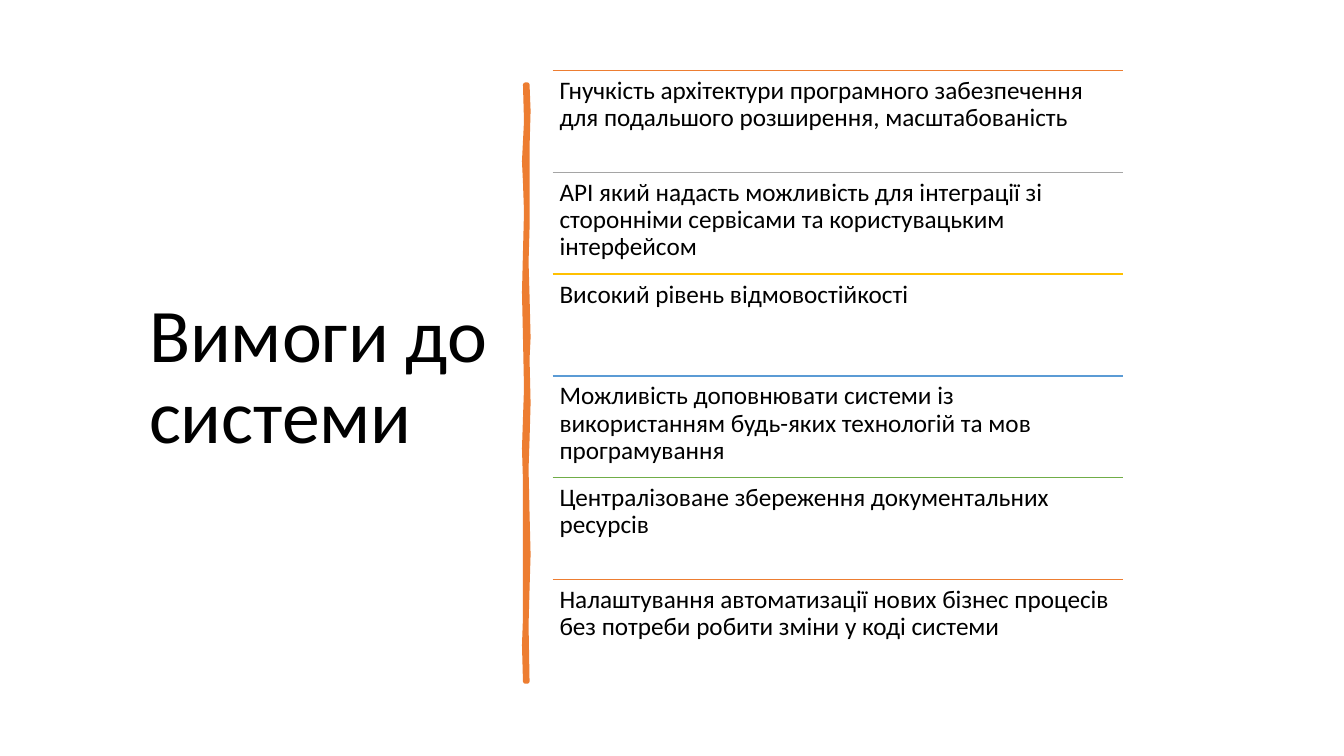
"""Builds the slide of system requirements with a title, a brush divider and six ruled items."""
import pptx
import pptx.dml.color
import pptx.enum.shapes
import pptx.enum.text
import pptx.oxml.ns
import pptx.util
from lxml import etree

PX = 9144
COLORS = {
    "text": "000000",
    "orange": "ED7D31",
    "gray": "A5A5A5",
    "gold": "FFC000",
    "blue": "5B9BD5",
    "green": "70AD47",
}
REQUIREMENTS = [
    ("orange", "Гнучкість архітектури програмного забезпечення для подальшого розширення, масштабованість"),
    ("gray", "API який надасть можливість для інтеграції зі сторонніми сервісами та користувацьким інтерфейсом"),
    ("gold", "Високий рівень відмовостійкості"),
    ("blue", "Можливість доповнювати системи із використанням будь-яких технологій та мов програмування"),
    ("green", "Централізоване збереження документальних ресурсів"),
    ("orange", "Налаштування автоматизації нових бізнес процесів без потреби робити зміни у коді системи"),
]
LIST_LEFT, LIST_TOP, LIST_WIDTH, ROW_HEIGHT = 548, 70, 566, 101
BRUSH_RIGHT = [(523, 84), (524, 110), (523, 146), (523, 226), (522, 260), (523, 294),
               (524, 335), (523, 356), (524, 400), (523, 436), (522, 465), (523, 510),
               (524, 550), (523, 584), (522, 620), (523, 676)]
BRUSH_LEFT = [(521, 676), (520, 640), (521, 613), (521, 557), (521, 477), (520, 445),
              (521, 415), (522, 385), (521, 335), (520, 290), (521, 250), (522, 210),
              (521, 181), (520, 160), (522, 120), (521, 84)]


def color(name):
    return pptx.dml.color.RGBColor.from_string(COLORS[name])


def add_text(text, left, top, width, height, size, inset_x, inset_y, anchor):
    box = slide.shapes.add_textbox(left * PX, top * PX, width * PX, height * PX)
    frame = box.text_frame
    frame.word_wrap = True
    frame.vertical_anchor = anchor
    frame.margin_left = frame.margin_right = inset_x * PX
    frame.margin_top = frame.margin_bottom = inset_y * PX
    paragraph = frame.paragraphs[0]
    paragraph.line_spacing = 0.9
    run = paragraph.add_run()
    run.text = text
    run.font.name = "Calibri"
    run.font.size = pptx.util.Pt(size)
    run.font.color.rgb = color("text")


presentation = pptx.Presentation()
presentation.slide_width = pptx.util.Inches(13.33)
presentation.slide_height = pptx.util.Inches(7.5)
slide = presentation.slides.add_slide(presentation.slide_layouts[6])

add_text("Вимоги до системи", left=138, top=70, width=361, height=611, size=54,
         inset_x=10, inset_y=5, anchor=pptx.enum.text.MSO_ANCHOR.MIDDLE)

outline = BRUSH_RIGHT + BRUSH_LEFT
builder = slide.shapes.build_freeform(*outline[0], scale=PX)
builder.add_line_segments(outline[1:], close=True)
brush = builder.convert_to_shape()
brush.shadow.inherit = False
brush.fill.solid()
brush.fill.fore_color.rgb = color("orange")
brush.line.color.rgb = color("orange")
brush.line.width = pptx.util.Pt(3.25)
etree.SubElement(brush.line._get_or_add_ln(), pptx.oxml.ns.qn("a:round"))

for row, (rule_color, requirement) in enumerate(REQUIREMENTS):
    top = LIST_TOP + row * ROW_HEIGHT
    rule = slide.shapes.add_connector(
        pptx.enum.shapes.MSO_CONNECTOR.STRAIGHT,
        LIST_LEFT * PX, top * PX, (LIST_LEFT + LIST_WIDTH) * PX, top * PX)
    rule.line.color.rgb = color(rule_color)
    rule.line.width = pptx.util.Pt(1)
    etree.SubElement(rule._element.spPr, pptx.oxml.ns.qn("a:effectLst"))
    add_text(requirement, left=LIST_LEFT, top=top, width=LIST_WIDTH, height=ROW_HEIGHT, size=18,
             inset_x=7, inset_y=7, anchor=pptx.enum.text.MSO_ANCHOR.TOP)

presentation.save("out.pptx")
